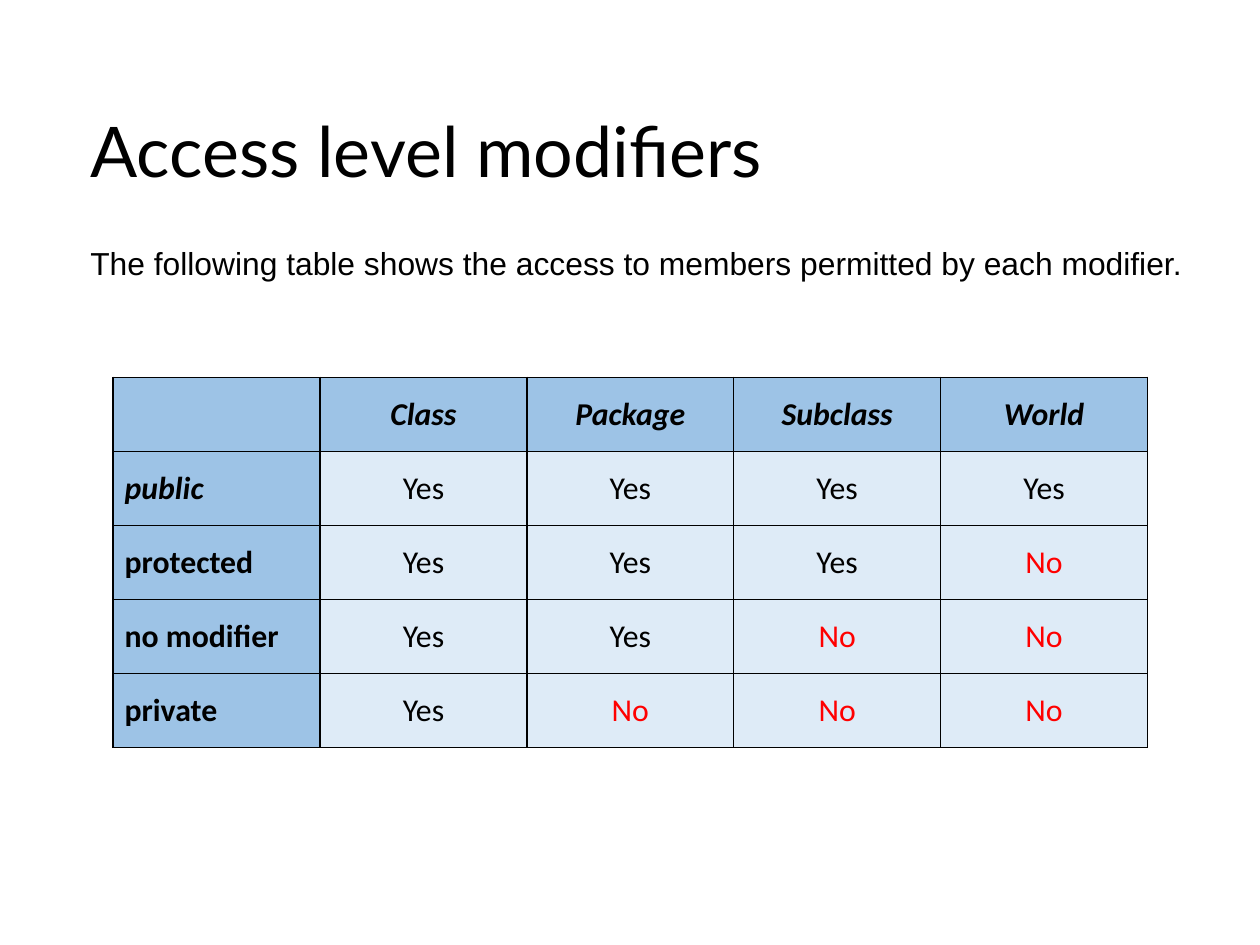
from lxml import etree
from pptx import Presentation
from pptx import util as u
from pptx.dml.color import RGBColor
from pptx.enum import text
from pptx.oxml import ns

HEADER_BLUE, CELL_BLUE = "9DC3E6", "DEEBF7"
BLACK, RED = "000000", "FF0000"


def paint(color_format, hex_color):
    color_format.rgb = RGBColor.from_string(hex_color)


def write(frame, wording, color, font_values, align=text.PP_ALIGN.LEFT):
    paragraph = frame.paragraphs[0]
    paragraph.alignment = align
    run = paragraph.add_run()
    run.text = wording
    for name, value in font_values.items():
        setattr(run.font, name, value)
    paint(run.font.color, color)
    return paragraph


# The page is 28 by 21 centimetres
deck = Presentation()
deck.slide_width, deck.slide_height = u.Inches(28 / 2.54), u.Inches(21 / 2.54)
slide = deck.slides.add_slide(deck.slide_layouts[1])
heading, intro = slide.placeholders

# Heading and introduction
frame_values = {
    "margin_left": 0, "margin_right": 0, "margin_top": 0, "margin_bottom": 0,
    "word_wrap": True, "auto_size": text.MSO_AUTO_SIZE.NONE,
}
for holder, box, anchor in (
    (heading, (0.79, 0.75, 9.25, 1.12), text.MSO_ANCHOR.MIDDLE),
    (intro, (0.79, 2.13, 9.68, 5.21), text.MSO_ANCHOR.TOP),
):
    holder.left, holder.top, holder.width, holder.height = map(u.Inches, box)
    holder.text_frame.vertical_anchor = anchor
    for name, value in frame_values.items():
        setattr(holder.text_frame, name, value)

write(heading.text_frame, "Access level modifiers", BLACK,
      {"name": "Lato", "size": u.Pt(44)})
sentence = write(
    intro.text_frame,
    "The following table shows the access to members permitted by each modifier.",
    BLACK, {"name": "Arial", "size": u.Pt(20)})
sentence.space_before, sentence.space_after = u.Pt(0), u.Pt(14.2)

# The introduction has no bullet and no indent
sentence_format = sentence._p.get_or_add_pPr()
sentence_format.set("marL", "0")
sentence_format.set("indent", "0")
etree.SubElement(sentence_format, ns.qn("a:buNone"))

# Access table: each modifier reaches the first few scopes
scopes = ["Class", "Package", "Subclass", "World"]
reach = {"public": 4, "protected": 3, "no modifier": 2, "private": 1}
rows = [[""] + scopes]
for modifier, count in reach.items():
    rows.append([modifier] + ["Yes"] * count + ["No"] * (len(scopes) - count))

table_width, table_height = u.Inches(9.05), u.Inches(3.24)
access = slide.shapes.add_table(
    len(rows), len(rows[0]), u.Inches(0.99), u.Inches(3.3),
    table_width, table_height).table

for r, row in enumerate(rows):
    for c, wording in enumerate(row):
        cell = access.cell(r, c)
        is_header = r == 0 or c == 0
        cell.vertical_anchor = text.MSO_ANCHOR.MIDDLE
        if wording:
            write(cell.text_frame, wording, RED if wording == "No" else BLACK,
                  {"name": "Calibri", "size": u.Pt(20), "bold": is_header,
                   "italic": r == 0 or wording == "public"},
                  text.PP_ALIGN.CENTER if c else text.PP_ALIGN.LEFT)

        # Thin black borders come before the fill in the cell properties
        cell_format = cell._tc.get_or_add_tcPr()
        for side in ("lnL", "lnR", "lnT", "lnB"):
            border = etree.SubElement(cell_format, ns.qn("a:" + side), w=str(u.Pt(1)))
            border_fill = etree.SubElement(border, ns.qn("a:solidFill"))
            etree.SubElement(border_fill, ns.qn("a:srgbClr"), val=BLACK)
        cell.fill.solid()
        paint(cell.fill.fore_color, HEADER_BLUE if is_header else CELL_BLUE)

deck.save("out.pptx")
